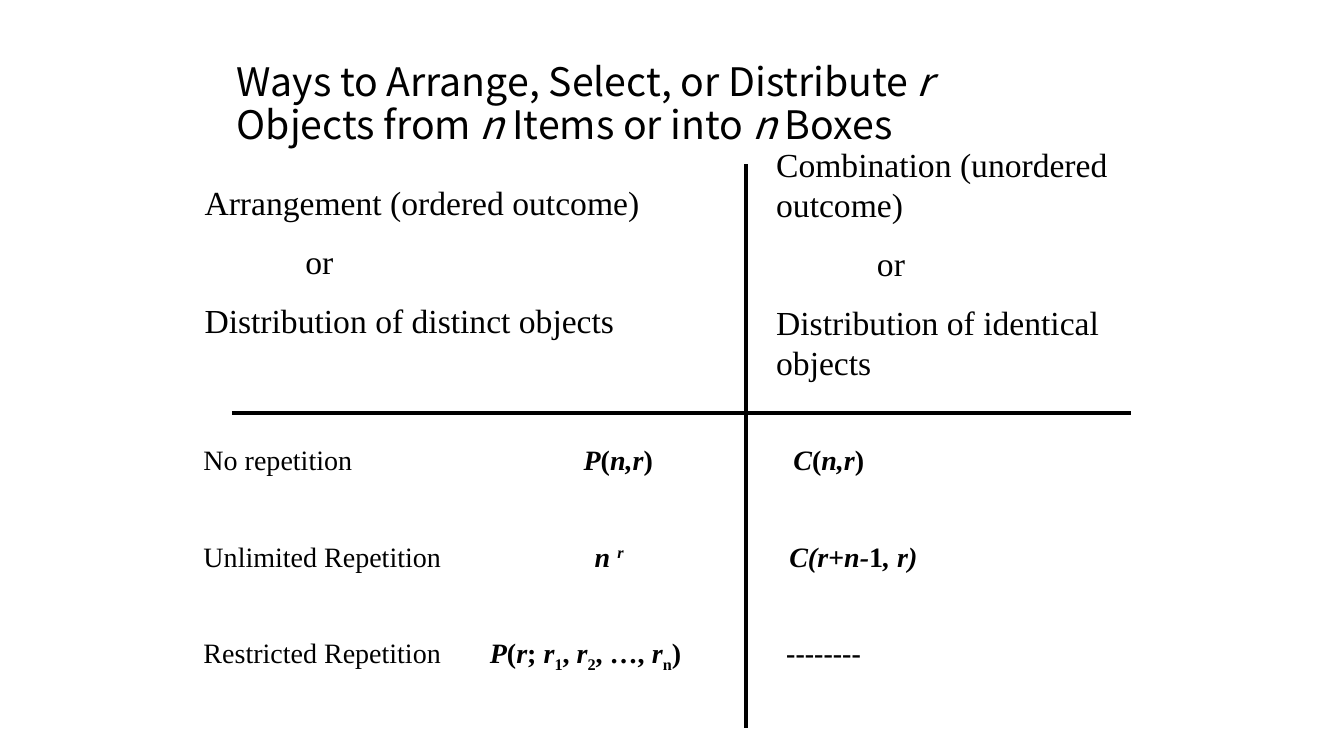
from lxml import etree
from pptx import Presentation
from pptx.dml.color import RGBColor
from pptx.enum.shapes import MSO_CONNECTOR
from pptx.enum.text import MSO_ANCHOR, MSO_AUTO_SIZE, PP_ALIGN
from pptx.oxml.ns import qn
from pptx.util import Inches, Pt

# Content: runs are (text, style); b bold, i italic, ^ superscript, _ subscript
TITLE = [
    ("Ways to Arrange, Select, or Distribute ", ""), ("r", "i"),
    (" Objects from ", ""), ("n", "i"), (" Items or into ", ""),
    ("n", "i"), (" Boxes", ""),
]
HEADINGS = [
    ((1.93, 1.76, 5.32, 1.72),
     ["Arrangement (ordered outcome)", "\tor", "Distribution of distinct objects"]),
    ((7.6, 1.38, 4.13, 2.52),
     ["Combination (unordered outcome)", "\tor", "Distribution of identical objects"]),
]
# Each row: label, (tab stop, runs) for arrangements, (tab stop, runs) for combinations
ROWS = [
    ("No repetition",
     (3.77, [("P", "bi"), ("(", "b"), ("n,r", "bi"), (")", "b")]),
     (5.85, [("C", "bi"), ("(", "b"), ("n,r", "bi"), (")", "b")])),
    ("Unlimited Repetition",
     (3.88, [("n ", "bi"), ("r", "bi^")]),
     (5.81, [("C(r+n-", "bi"), ("1", "b"), (", r)", "bi")])),
    ("Restricted Repetition",
     (2.84, [("P", "bi"), ("(", "b"), ("r", "bi"), ("; ", "b"),
             ("r", "bi"), ("1", "b_"), (", ", "b"), ("r", "bi"), ("2", "b_"),
             (", …, ", "b"), ("r", "bi"), ("n", "b_"), (")", "b")]),
     (5.78, [("--------", "b")])),
]
RULES = [(2.3, 4.1, 11.22, 4.1), (7.4, 1.63, 7.4, 7.22)]
ROWS_BOX = (1.92, 4.34, 9.17, 2.8)
BASELINES = {"^": "30000", "_": "-25000"}
SERIF, SANS, BLACK = "Times New Roman", "Noto Sans CJK SC", "000000"


def color(value):
    return RGBColor.from_string(value)


def add_runs(paragraph, runs, font_name, size):
    for text, style in runs:
        run = paragraph.add_run()
        run.text = text
        values = {"name": font_name, "size": Pt(size),
                  "bold": "b" in style, "italic": "i" in style}
        for name, value in values.items():
            setattr(run.font, name, value)
        run.font.color.rgb = color(BLACK)
        for mark, baseline in BASELINES.items():
            if mark in style:
                run.font._element.set("baseline", baseline)


def add_tab_stops(paragraph, positions):
    tab_list = etree.SubElement(paragraph._p.get_or_add_pPr(), qn("a:tabLst"))
    for position in positions:
        etree.SubElement(tab_list, qn("a:tab"),
                         pos=str(Inches(position)), algn="l")


def add_text(slide, box, paragraphs, size, gap):
    """Each paragraph is (runs, tab stops); gap is the space between them."""
    frame = slide.shapes.add_textbox(*map(Inches, box)).text_frame
    frame.word_wrap = True
    for index, (runs, tab_stops) in enumerate(paragraphs):
        paragraph = frame.add_paragraph() if index else frame.paragraphs[0]
        add_tab_stops(paragraph, tab_stops)
        if index:
            paragraph.space_before = Pt(gap)
        add_runs(paragraph, runs, SERIF, size)


presentation = Presentation()
presentation.slide_width, presentation.slide_height = Inches(13.33), Inches(7.5)
slide = presentation.slides.add_slide(presentation.slide_layouts[5])

# Title
title = slide.shapes.title
title.left, title.top, title.width, title.height = map(Inches, (2.25, 0.42, 8.5, 1.25))
frame_format = {"vertical_anchor": MSO_ANCHOR.MIDDLE, "word_wrap": True,
                "auto_size": MSO_AUTO_SIZE.NONE}
for name, value in frame_format.items():
    setattr(title.text_frame, name, value)
title_paragraph = title.text_frame.paragraphs[0]
title_paragraph.alignment = PP_ALIGN.LEFT
title_paragraph.line_spacing = 0.9
add_runs(title_paragraph, TITLE, SANS, 28)

# Column headings
for box, lines in HEADINGS:
    add_text(slide, box, [([(line, "")], [1]) for line in lines], 24, 13)

# Dividing rules
for ends in RULES:
    rule = slide.shapes.add_connector(MSO_CONNECTOR.STRAIGHT, *map(Inches, ends))
    rule.line.color.rgb = color(BLACK)
    rule.line.width = Pt(3)
    etree.SubElement(rule._element.spPr, qn("a:effectLst"))

# Formula rows, with tab stops for the two columns
formula_rows = []
for label, (first_stop, first_runs), (second_stop, second_runs) in ROWS:
    runs = [(label + "\t", ""), *first_runs, ("\t", ""), *second_runs]
    formula_rows.append((runs, [first_stop, second_stop]))
add_text(slide, ROWS_BOX, formula_rows, 20, 45)

presentation.save("out.pptx")
